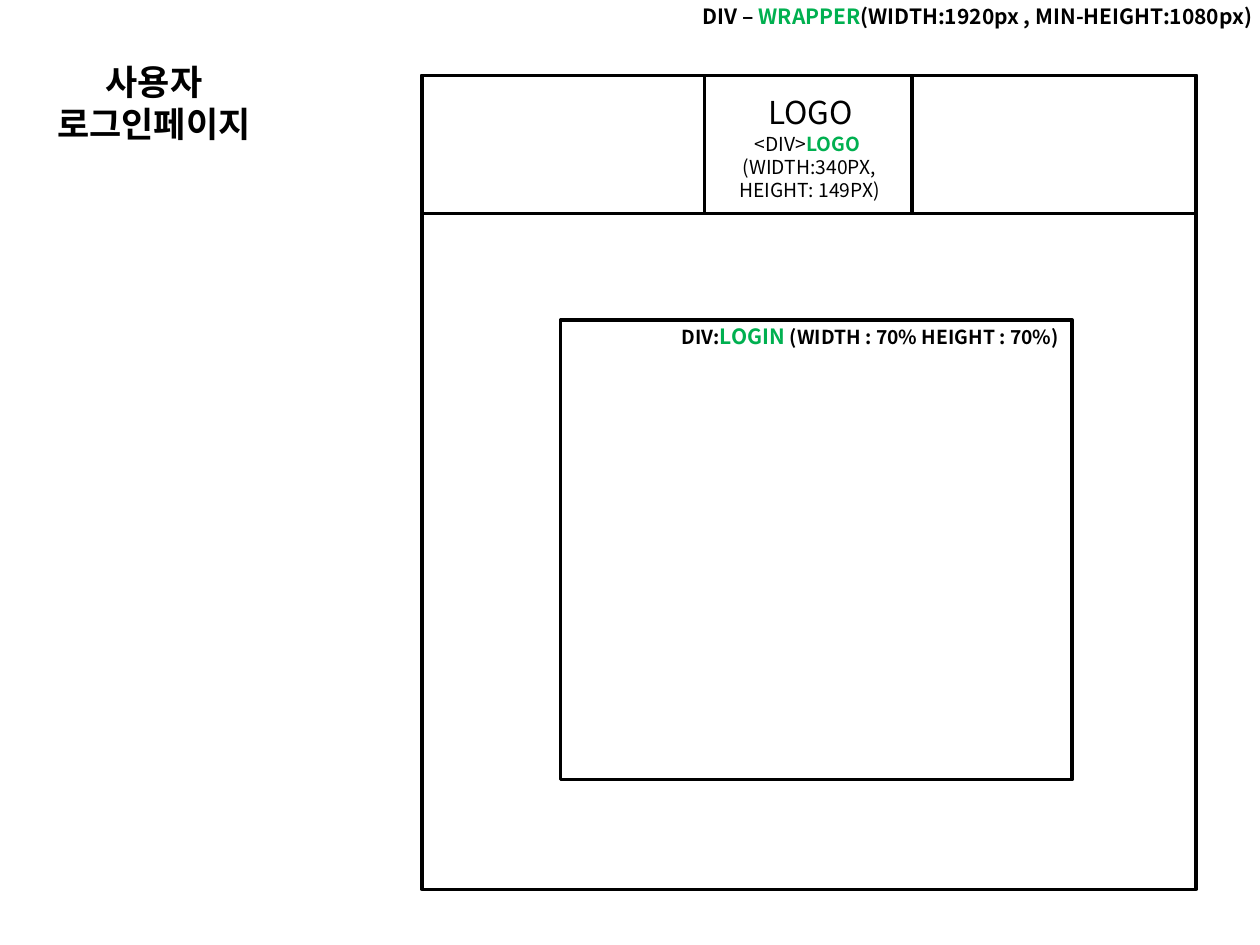
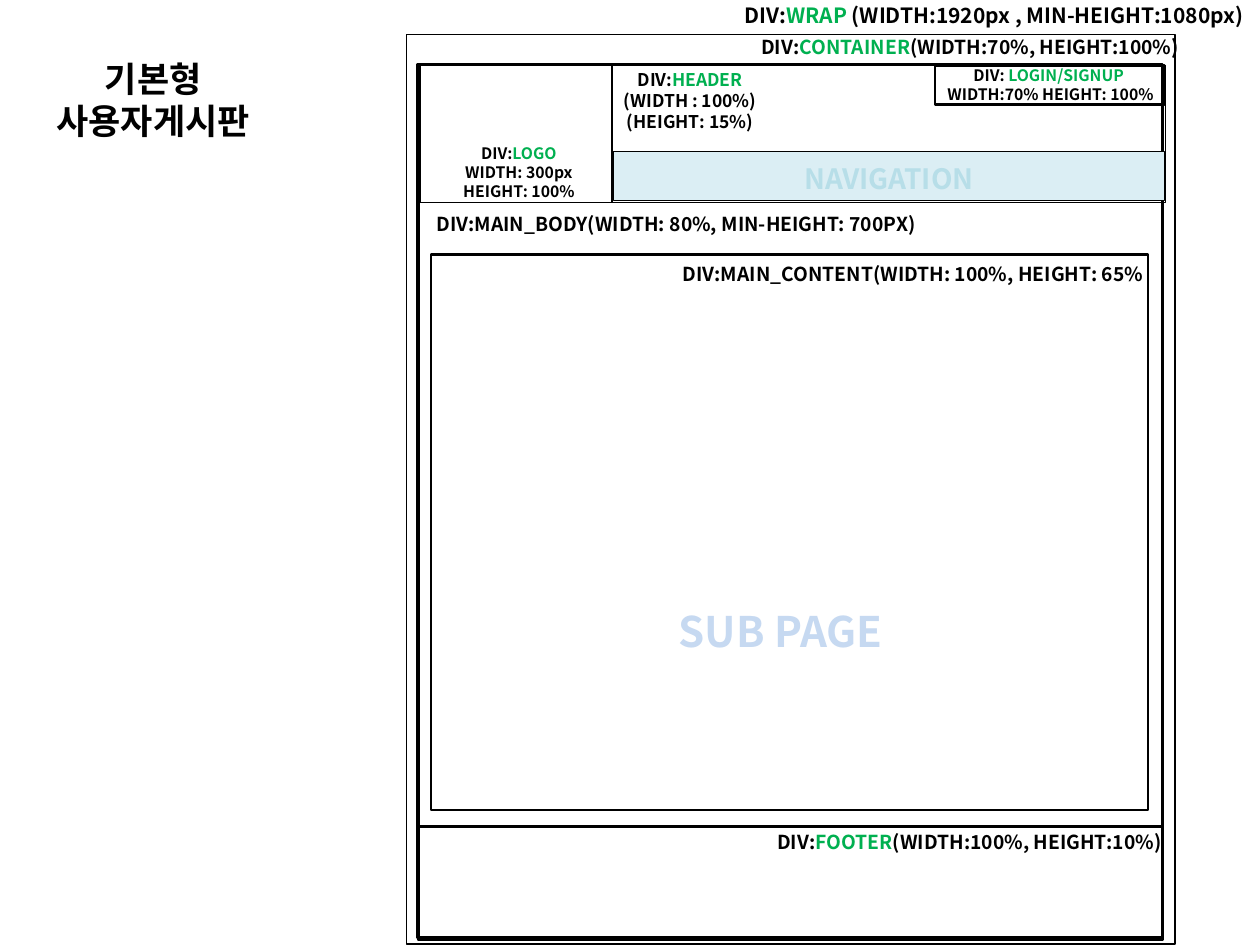
"""Build two wireframe slides: a login page and a basic user board."""
from dataclasses import dataclass
from typing import Optional

from lxml.etree import SubElement
from pptx import Presentation
from pptx.dml.color import RGBColor
from pptx.enum.shapes import MSO_SHAPE as Preset
from pptx.enum.text import MSO_ANCHOR as Anchor, MSO_AUTO_SIZE as AutoSize, PP_ALIGN as Align
from pptx.oxml.ns import qn
from pptx.slide import Slide
from pptx.text.text import TextFrame
from pptx.util import Cm, Pt

FONT = "Noto Sans CJK KR"
BLACK = RGBColor(0x00, 0x00, 0x00)
GREEN = RGBColor(0x00, 0xB0, 0x50)
PALE_BLUE = RGBColor(0xC6, 0xD9, 0xF1)
PALE_TEAL = RGBColor(0xDB, 0xEE, 0xF4)
TEAL = RGBColor(0xB7, 0xDE, 0xE8)


@dataclass(frozen=True)
class Area:
    left: float
    top: float
    width: float
    height: float

    def lengths(self) -> tuple[Cm, Cm, Cm, Cm]:
        return Cm(self.left), Cm(self.top), Cm(self.width), Cm(self.height)


@dataclass(frozen=True)
class Span:
    text: str
    color: RGBColor = BLACK
    bold: bool = True
    size: Optional[float] = None


@dataclass(frozen=True)
class Frame:
    area: Area
    weight: float
    fill: Optional[RGBColor] = None
    preset: Preset = Preset.FLOWCHART_PROCESS


@dataclass(frozen=True)
class Label:
    area: Area
    size: float
    lines: list[list[Span]]
    align: Align = Align.CENTER
    anchor: Anchor = Anchor.MIDDLE
    wrap: bool = False
    grow: bool = False


@dataclass(frozen=True)
class Page:
    title: Label
    frames: list[Frame]
    labels: list[Label]


def title(area: Area, *lines: str) -> Label:
    return Label(area, 20, [[Span(line)] for line in lines], anchor=Anchor.TOP, wrap=True)


def note(area: Area, size: float, *lines: list[Span]) -> Label:
    return Label(area, size, list(lines), Align.LEFT, Anchor.TOP, grow=True)


def named(name: str, after: str = "", before: str = "DIV:") -> list[Span]:
    spans = [Span(before), Span(name, GREEN)]
    return spans + [Span(after)] if after else spans


def write(text: TextFrame, label: Label) -> None:
    text.word_wrap = label.wrap
    text.auto_size = AutoSize.SHAPE_TO_FIT_TEXT if label.grow else AutoSize.NONE
    text.vertical_anchor = label.anchor
    for index, spans in enumerate(label.lines):
        para = text.add_paragraph() if index else text.paragraphs[0]
        para.alignment = label.align
        for span in spans:
            run = para.add_run()
            run.text = span.text
            run.font.size = Pt(span.size or label.size)
            run.font.bold = span.bold
            run.font.color.rgb = span.color
            run.font.name = FONT
            SubElement(run.font._element, qn("a:ea"), typeface=FONT)


def draw_frame(slide: Slide, frame: Frame) -> None:
    box = slide.shapes.add_shape(frame.preset, *frame.area.lengths())
    box.shadow.inherit = False
    box.line.color.rgb = BLACK
    box.line.width = Pt(frame.weight)
    if frame.fill is None:
        box.fill.background()
    else:
        box.fill.solid()
        box.fill.fore_color.rgb = frame.fill


def draw_label(slide: Slide, label: Label) -> None:
    box = slide.shapes.add_textbox(*label.area.lengths())
    write(box.text_frame, label)


def draw_title(slide: Slide, label: Label) -> None:
    box = slide.shapes.title
    box.left, box.top, box.width, box.height = label.area.lengths()
    write(box.text_frame, label)


LOGIN_PAGE = Page(
    title(Area(0.69, 1.09, 4.83, 1.96), "사용자", "로그인페이지"),
    [
        Frame(Area(8.51, 1.52, 15.6, 16.41), 2, preset=Preset.RECTANGLE),
        Frame(Area(8.51, 1.52, 15.6, 2.79), 2, preset=Preset.RECTANGLE),
        Frame(Area(14.2, 1.52, 4.19, 2.79), 2, preset=Preset.RECTANGLE),
        Frame(Area(11.3, 6.45, 10.31, 9.27), 2, preset=Preset.RECTANGLE),
    ],
    [
        note(Area(15.24, 1.75, 2.24, 1.02), 18, [Span("LOGO", bold=False)]),
        note(Area(13.92, -0.05, 11.99, 0.76), 12,
             named("WRAPPER", "(WIDTH:1920px , MIN-HEIGHT:1080px) ", "DIV – ")),
        Label(Area(14.15, 2.54, 4.34, 1.68), 11,
              [[Span("<DIV>", bold=False), Span("LOGO ", GREEN)],
               [Span("(WIDTH:340PX, HEIGHT: 149PX)", bold=False)]],
              anchor=Anchor.TOP, wrap=True),
        note(Area(13.49, 6.4, 8.33, 0.76), 11,
             [Span("DIV:"), Span("LOGIN ", GREEN, size=12), Span("(WIDTH : 70% HEIGHT : 70%)")]),
    ],
)

BOARD_PAGE = Page(
    title(Area(0.46, 1.04, 5.26, 1.96), "기본형", "사용자게시판"),
    [
        Frame(Area(8.43, 1.3, 15.01, 17.6), 2, preset=Preset.RECTANGLE),
        Frame(Area(8.43, 1.3, 15.01, 2.79), 0.75),
        Frame(Area(8.43, 16.66, 15.01, 2.29), 1.5),
        Frame(Area(8.69, 5.13, 14.45, 11.2), 1.5),
        Frame(Area(8.2, 0.69, 15.49, 18.34), 0.75),
        Frame(Area(8.48, 1.32, 15.01, 2.77), 0.75),
        Frame(Area(12.37, 3.05, 11.1, 0.99), 0.75, PALE_TEAL),
        Frame(Area(18.85, 1.32, 4.62, 0.79), 1.5),
        Frame(Area(8.43, 1.32, 3.91, 2.77), 0.75),
    ],
    [
        Label(Area(8.48, 4.11, 10.31, 0.79), 11,
              [[Span("DIV:MAIN_BODY(WIDTH: 80%, MIN-HEIGHT: 700PX)")]]),
        Label(Area(11.91, 5.13, 13, 0.79), 11,
              [[Span("DIV:MAIN_CONTENT(WIDTH: 100%, HEIGHT: 65%")]]),
        Label(Area(11.94, 11.81, 7.59, 1.8), 24, [[Span("SUB PAGE", PALE_BLUE)]]),
        Label(Area(12.32, 1.32, 3.18, 1.4), 10,
              [named("HEADER"), [Span("(WIDTH : 100%)")], [Span("(HEIGHT: 15%)")]]),
        Label(Area(8.81, 2.84, 3.3, 1.27), 9,
              [named("LOGO"), [Span("WIDTH: 300px")], [Span("HEIGHT: 100%")]]),
        Label(Area(15.75, 3.28, 4.34, 0.61), 16, [[Span("NAVIGATION", TEAL)]]),
        note(Area(14.76, -0.08, 11.15, 0.76), 12,
             named("WRAP ", "(WIDTH:1920px , MIN-HEIGHT:1080px) ")),
        Label(Area(18.85, 1.27, 4.65, 0.89), 9,
              [named("LOGIN/SIGNUP ", before="DIV: "), [Span("WIDTH:70% HEIGHT: 100%")]]),
        Label(Area(14.2, 0.66, 10.72, 0.58), 11,
              [named("CONTAINER", "(WIDTH:70%, HEIGHT:100%)")]),
        Label(Area(15.24, 16.79, 8.61, 0.38), 11,
              [named("FOOTER", "(WIDTH:100%, HEIGHT:10%)")]),
    ],
)


def main() -> None:
    deck = Presentation()
    deck.slide_width, deck.slide_height = Cm(25.4), Cm(19.05)
    title_only = deck.slide_layouts[5]
    for page in (LOGIN_PAGE, BOARD_PAGE):
        slide = deck.slides.add_slide(title_only)
        draw_title(slide, page.title)
        for frame in page.frames:
            draw_frame(slide, frame)
        for label in page.labels:
            draw_label(slide, label)
    deck.save("out.pptx")


main()
